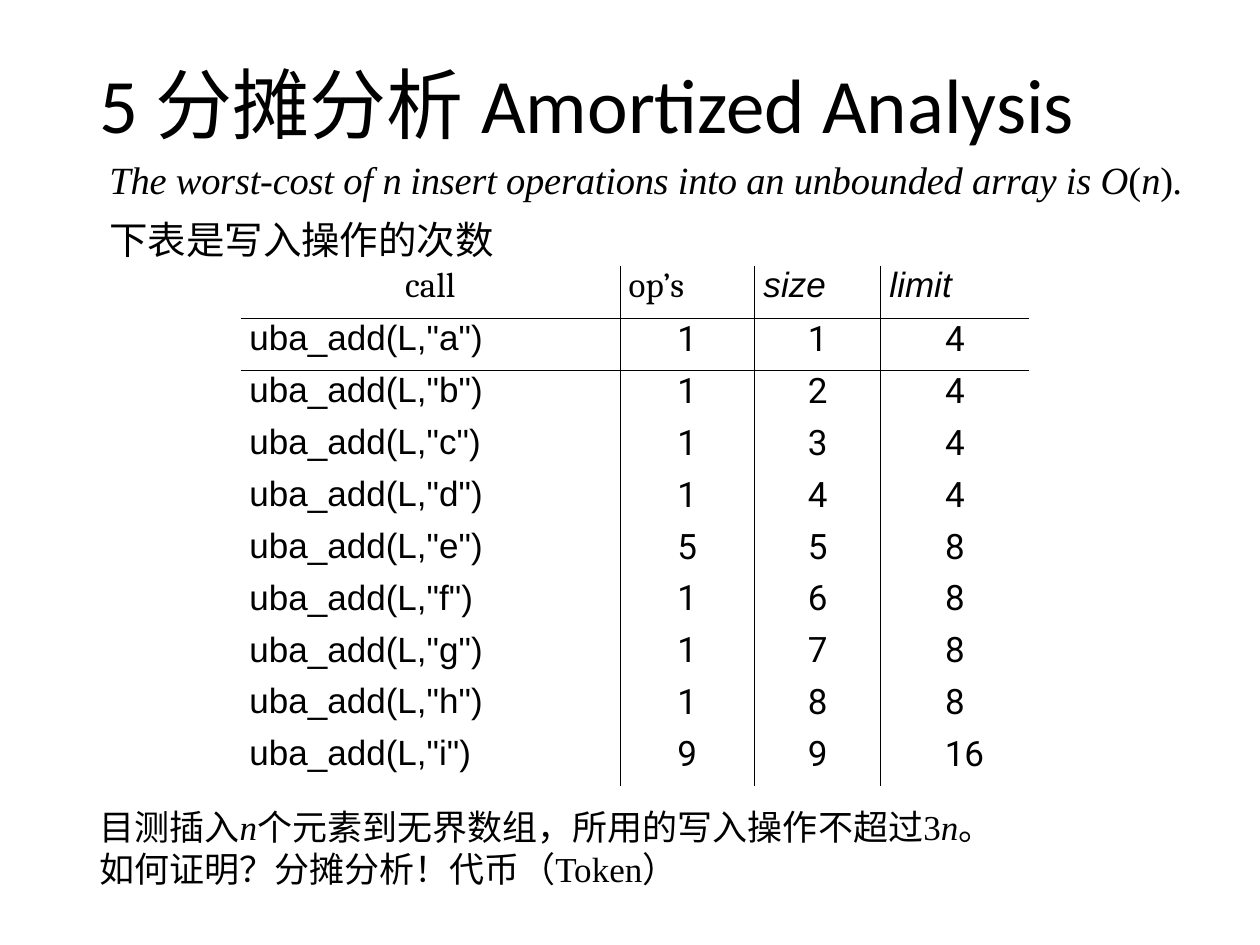
from lxml import etree
from pptx import Presentation
from pptx.dml.color import RGBColor
from pptx.enum.text import MSO_ANCHOR, PP_ALIGN
from pptx.oxml.ns import qn
from pptx.util import Inches, Pt

BLACK = RGBColor(0, 0, 0)
CENTER, LEFT = PP_ALIGN.CENTER, PP_ALIGN.LEFT
MIDDLE, TOP = MSO_ANCHOR.MIDDLE, MSO_ANCHOR.TOP
SERIF = "Times New Roman"

HEADS = [("call", "Cambria"), ("op’s", "Cambria"), ("size", "Arial"), ("limit", "Arial")]
COSTS = [("a", 1, 1, 4), ("b", 1, 2, 4), ("c", 1, 3, 4), ("d", 1, 4, 4), ("e", 5, 5, 8),
         ("f", 1, 6, 8), ("g", 1, 7, 8), ("h", 1, 8, 8), ("i", 9, 9, 16)]
WIDTHS = [3.01, 1.07, 1, 1.18]


def write(par, text, font=SERIF, size=20, italic=False, track=0):
    """Add a run; track is letter spacing in points."""
    run = par.add_run()
    run.text = text
    run.font.name = font
    run.font.size = Pt(size)
    run.font.italic = italic
    run.font.color.rgb = BLACK
    if track:
        run.font._element.set("spc", str(round(track * 100)))


def indent(par, inches):
    props = par._p.get_or_add_pPr()
    props.set("marL", str(Inches(inches)))
    props.set("indent", "0")


def rule(cell, sides):
    """Draw thin lines on the named sides (L, R, T, B) and clear the others."""
    props = cell._tc.get_or_add_tcPr()
    for place, side in enumerate("LRTB"):
        line = etree.Element(qn(f"a:ln{side}"), w=str(Pt(0.4)))
        if side in sides:
            fill = etree.SubElement(line, qn("a:solidFill"))
            etree.SubElement(fill, qn("a:srgbClr"), val=str(BLACK))
        else:
            etree.SubElement(line, qn("a:noFill"))
        props.insert(place, line)


class Page:
    def __init__(self, deck):
        self.slide = deck.slides.add_slide(deck.slide_layouts[6])

    def box(self, left, top, width, height, lines, anchor=TOP, margin=0, gap=0, pitch=None):
        """Place a text box; each line is a list of (text, format) runs."""
        area = self.slide.shapes.add_textbox(
            Inches(left), Inches(top), Inches(width), Inches(height))
        frame = area.text_frame
        frame.word_wrap = True
        frame.vertical_anchor = anchor
        for row, runs in enumerate(lines):
            par = frame.add_paragraph() if row else frame.paragraphs[0]
            if margin:
                indent(par, margin)
            if row and gap:
                par.space_before = Pt(gap)
            if pitch:
                par.line_spacing = pitch
            for text, style in runs:
                write(par, text, **style)

    def cell(self, cell, text, sides, align=LEFT, margin=0.0, **style):
        cell.fill.background()
        cell.margin_left = cell.margin_right = cell.margin_top = cell.margin_bottom = 0
        par = cell.text_frame.paragraphs[0]
        par.alignment = align
        if margin:
            indent(par, margin)
        write(par, text, **style)
        rule(cell, sides)

    def table(self, left, top, height, head):
        count = len(COSTS) + 1
        grid = self.slide.shapes.add_table(
            count, len(WIDTHS), Inches(left), Inches(top),
            Inches(sum(WIDTHS)), Inches(height)).table
        grid.first_row = grid.horz_banding = False
        for col, width in zip(grid.columns, WIDTHS):
            col.width = Inches(width)
        for row in grid.rows:
            row.height = Inches((height - head) / len(COSTS))
        grid.rows[0].height = Inches(head)

        last = len(WIDTHS) - 1
        for r in range(count):
            for c in range(last + 1):
                sides = ("L" if c else "") + ("R" if c < last else "")
                sides += ("T" if r in (1, 2) else "") + ("B" if r in (0, 1) else "")
                spot = grid.cell(r, c)
                if r == 0:
                    text, font = HEADS[c]
                    self.cell(spot, text, sides, font=font, italic=font == "Arial",
                              align=LEFT if c else CENTER, margin=0.07 if c else 0)
                elif c == 0:
                    self.cell(spot, f'uba_add(L,"{COSTS[r - 1][0]}")', sides,
                              font="Arial", margin=0.07)
                else:
                    value = COSTS[r - 1][c]
                    self.cell(spot, str(value), sides, font="Roboto", align=CENTER,
                              margin=0.15 if value > 9 else 0)


def main():
    deck = Presentation()
    deck.slide_width, deck.slide_height = Inches(10), Inches(7.5)
    page = Page(deck)

    title = {"font": "Calibri", "size": 44}
    page.box(0.69, 0.4, 8.62, 0.92, [[("5 分摊分析 Amortized Analysis", title)]],
             anchor=MIDDLE, pitch=0.9)

    plain = {"size": 22}
    claim = {"size": 22, "italic": True, "track": -0.1}
    var = {"size": 22, "italic": True, "track": -0.5}
    page.box(0.38, 1.19, 9.34, 0.95, [
        [("The worst-cost of ", claim), ("n ", var),
         ("insert operations into an unbounded array is O", claim),
         ("(", plain), ("n", var), (")", plain), (".", claim)],
        [("下表是写入操作的次数", {"font": "Cambria", "size": 22})],
    ], margin=0.39, gap=8)

    page.table(1.91, 2.11, 4.13, 0.42)

    slant = {"italic": True}
    page.box(0.69, 6.34, 8.62, 0.77, [
        [("目测插入", {}), ("n", slant), ("个元素到无界数组，所用的写入操作不超过3", {}),
         ("n", slant), ("。", {})],
        [("如何证明？分摊分析！代币（Token）", {})],
    ])
    deck.save("out.pptx")


if __name__ == "__main__":
    main()
